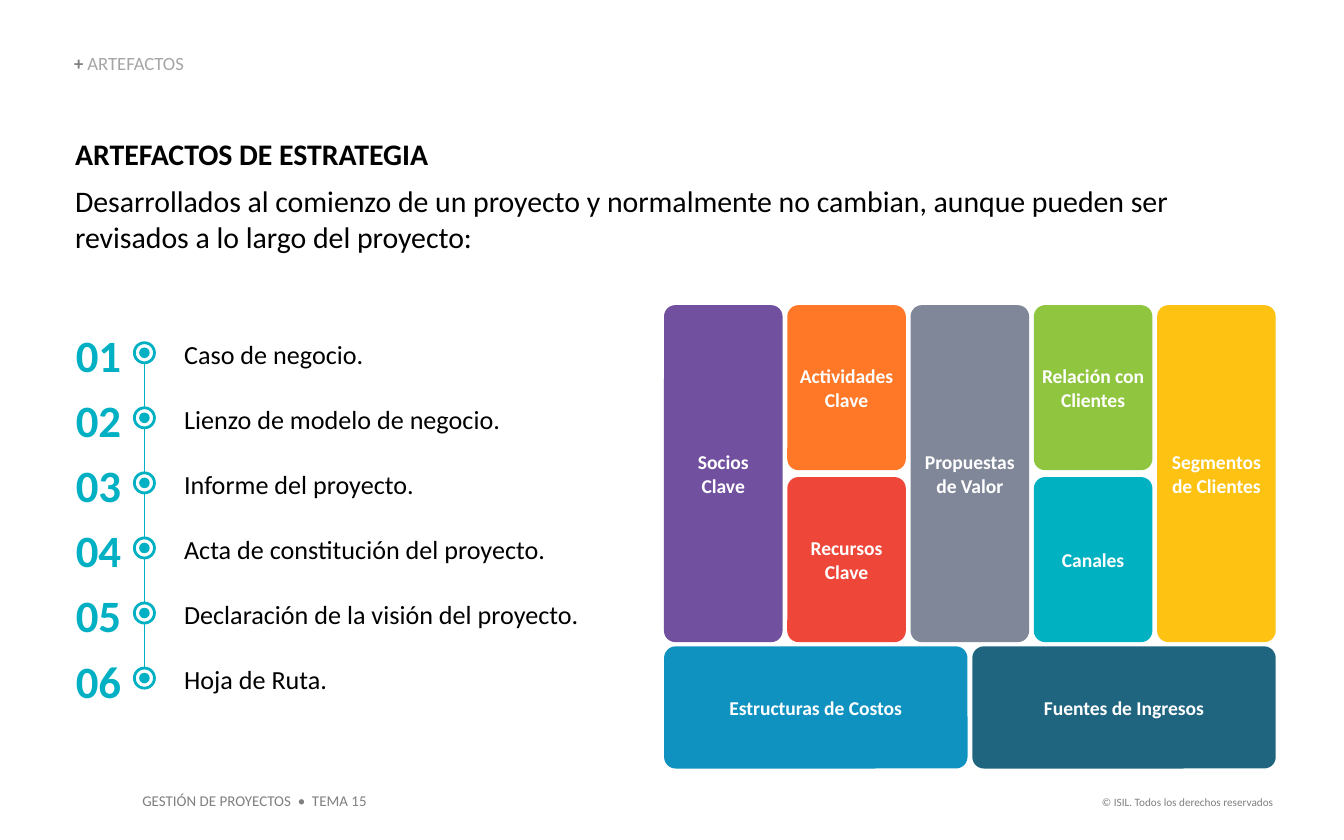
from pptx import Presentation
from pptx.dml.color import RGBColor
from pptx.enum.shapes import MSO_CONNECTOR as CONN, MSO_SHAPE as SHAPE
from pptx.enum.text import MSO_ANCHOR as ANCHOR, PP_ALIGN as ALIGN
from pptx.oxml.ns import qn
from pptx.util import Cm, Pt
from lxml import etree

FONT = "Calibri"
TEAL, GRAY, WHITE, BLACK = "01B1C3", "7F7F7F", "FFFFFF", "000000"

ITEMS = [
    "Caso de negocio.",
    "Lienzo de modelo de negocio.",
    "Informe del proyecto.",
    "Acta de constitución del proyecto.",
    "Declaración de la visión del proyecto.",
    "Hoja de Ruta.",
]
# Each column holds one full-height card or two stacked ones
COLUMNS = [
    [(["Socios", "Clave"], "7150A0")],
    [(["Actividades", "Clave"], "FE7828"), (["Recursos", "Clave"], "EE4639")],
    [(["Propuestas", "de Valor"], "808799")],
    [(["Relación con Clientes"], "8FC53F"), (["Canales"], "00B1C2")],
    [(["Segmentos", "de Clientes"], "FDC212")],
]
BASE = [(["Estructuras de Costos"], "1092C1"), (["Fuentes de Ingresos"], "206580")]


def color(value):
    return RGBColor.from_string(value)


def add_run(p, text, size, rgb, bold=False):
    r = p.add_run()
    r.text = text
    r.font.name, r.font.size, r.font.bold = FONT, Pt(size), bold
    r.font.color.rgb = color(rgb)


def set_frame(tf, anchor=ANCHOR.TOP, pad_x=0, pad_y=0):
    tf.word_wrap = True
    tf.vertical_anchor = anchor
    tf.margin_left = tf.margin_right = Cm(pad_x)
    tf.margin_top = tf.margin_bottom = Cm(pad_y)


def add_text(s, x, y, w, h, runs, align=ALIGN.LEFT, **frame):
    """Text box with one paragraph; returns its frame."""
    tf = s.shapes.add_textbox(Cm(x), Cm(y), Cm(w), Cm(h)).text_frame
    set_frame(tf, **frame)
    p = tf.paragraphs[0]
    p.alignment = align
    for run in runs:
        add_run(p, *run)
    return tf


def add_filled(s, kind, x, y, w, h, fill, line=None):
    sp = s.shapes.add_shape(kind, Cm(x), Cm(y), Cm(w), Cm(h))
    sp.shadow.inherit = False
    sp.fill.solid()
    sp.fill.fore_color.rgb = color(fill)
    if line:
        sp.line.color.rgb = color(line)
        sp.line.width = Pt(1.5)
    else:
        sp.line.fill.background()
    return sp


def add_heading(s, x, y, w):
    # Section label
    tf = add_text(s, x, y, 6.76, 0.38, [("+ ", 10, GRAY, True), ("ARTEFACTOS", 10, "A5A5A5")],
                  anchor=ANCHOR.BOTTOM)
    tf.paragraphs[0].line_spacing = 0.9
    # Title and introduction
    tf = add_text(s, x + 0.02, y + 1.53, w, 2.57, [("ARTEFACTOS DE ESTRATEGIA", 16, BLACK, True)])
    p = tf.add_paragraph()
    p.space_before = Pt(6)
    add_run(p, "Desarrollados al comienzo de un proyecto y normalmente no cambian, "
               "aunque pueden ser revisados a lo largo del proyecto:", 16, BLACK)


def add_timeline(s, x, y, pitch):
    ring, dot = 0.38, 0.2
    cx, cy = x + 1.56, y + 0.47
    # Vertical line through the marker centres
    line = s.shapes.add_connector(CONN.STRAIGHT, Cm(cx), Cm(cy),
                                  Cm(cx), Cm(cy + pitch * (len(ITEMS) - 1)))
    line.line.color.rgb = color(TEAL)
    line.line.width = Pt(1)
    etree.SubElement(line._element.spPr, qn("a:effectLst"))
    # Number, marker and text of each item
    for i, item in enumerate(ITEMS):
        dy = i * pitch
        add_text(s, x + 2.31, y + dy + 0.2, 7.8, 0.61, [(item, 14, BLACK)])
        add_text(s, x, y + dy, 1.12, 1.02, [(f"{i + 1:02}", 24, TEAL, True)], ALIGN.RIGHT)
        for size, fill, edge in ((ring, WHITE, TEAL), (dot, TEAL, None)):
            add_filled(s, SHAPE.OVAL, cx - size / 2, cy + dy - size / 2, size, size, fill, edge)


def add_card(s, x, y, w, h, lines, fill):
    sp = add_filled(s, SHAPE.ROUNDED_RECTANGLE, x, y, w, h, fill)
    sp.adjustments[0] = 0.095
    tf = sp.text_frame
    set_frame(tf, ANCHOR.MIDDLE)
    for i, text in enumerate(lines):
        p = tf.add_paragraph() if i else tf.paragraphs[0]
        p.alignment = ALIGN.CENTER
        add_run(p, text, 10.5, WHITE, True)


def add_canvas(s, x, y, w, h):
    gap, row_gap, base_h = 0.09, 0.13, 2.31
    top_h = h - base_h - 0.08
    # Upper columns
    col_w = (w - gap * (len(COLUMNS) - 1)) / len(COLUMNS)
    for i, cards in enumerate(COLUMNS):
        card_h = (top_h - row_gap * (len(cards) - 1)) / len(cards)
        for j, card in enumerate(cards):
            add_card(s, x + i * (col_w + gap), y + j * (card_h + row_gap), col_w, card_h, *card)
    # Lower row
    base_w = (w - gap) / 2
    for i, card in enumerate(BASE):
        add_card(s, x + i * (base_w + gap), y + h - base_h, base_w, base_h, *card)


def add_footer(s, x, y, right):
    pads = {"pad_x": 0.25, "pad_y": 0.13}
    add_text(s, right - 4.22, y + 0.08, 4.22, 0.51,
             [("© ISIL. Todos los derechos reservados", 6, GRAY)], ALIGN.RIGHT, **pads)
    add_text(s, x, y, 4.75, 0.61, [("GESTIÓN DE PROYECTOS  •  TEMA 15", 8, GRAY)], **pads)


def main():
    prs = Presentation()
    prs.slide_width, prs.slide_height = Cm(25.4), Cm(15.88)
    s = prs.slides.add_slide(prs.slide_layouts[6])
    add_footer(s, 2.44, 14.83, 24.31)
    add_canvas(s, 12.55, 5.77, 11.56, 8.76)
    add_heading(s, 1.4, 1.04, 22.68)
    add_timeline(s, 1.17, 6.2, 1.23)
    prs.save("out.pptx")


if __name__ == "__main__":
    main()
